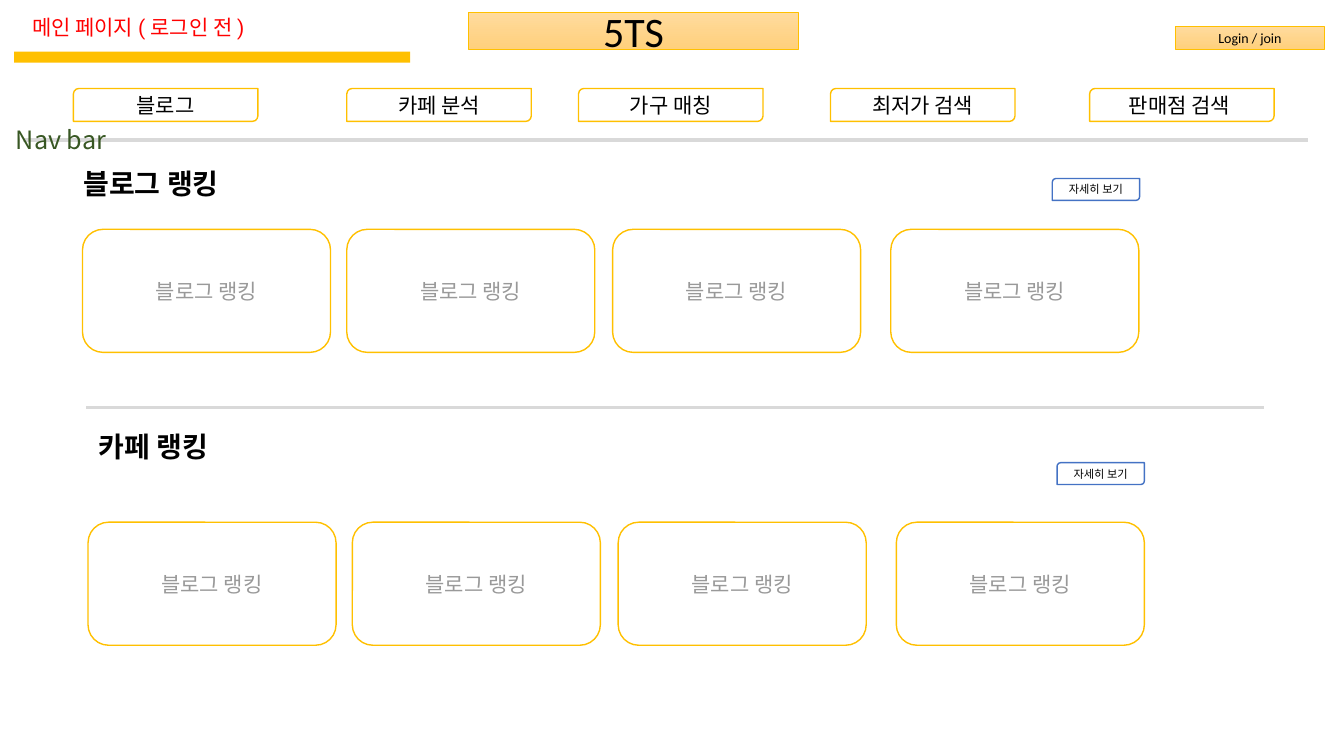
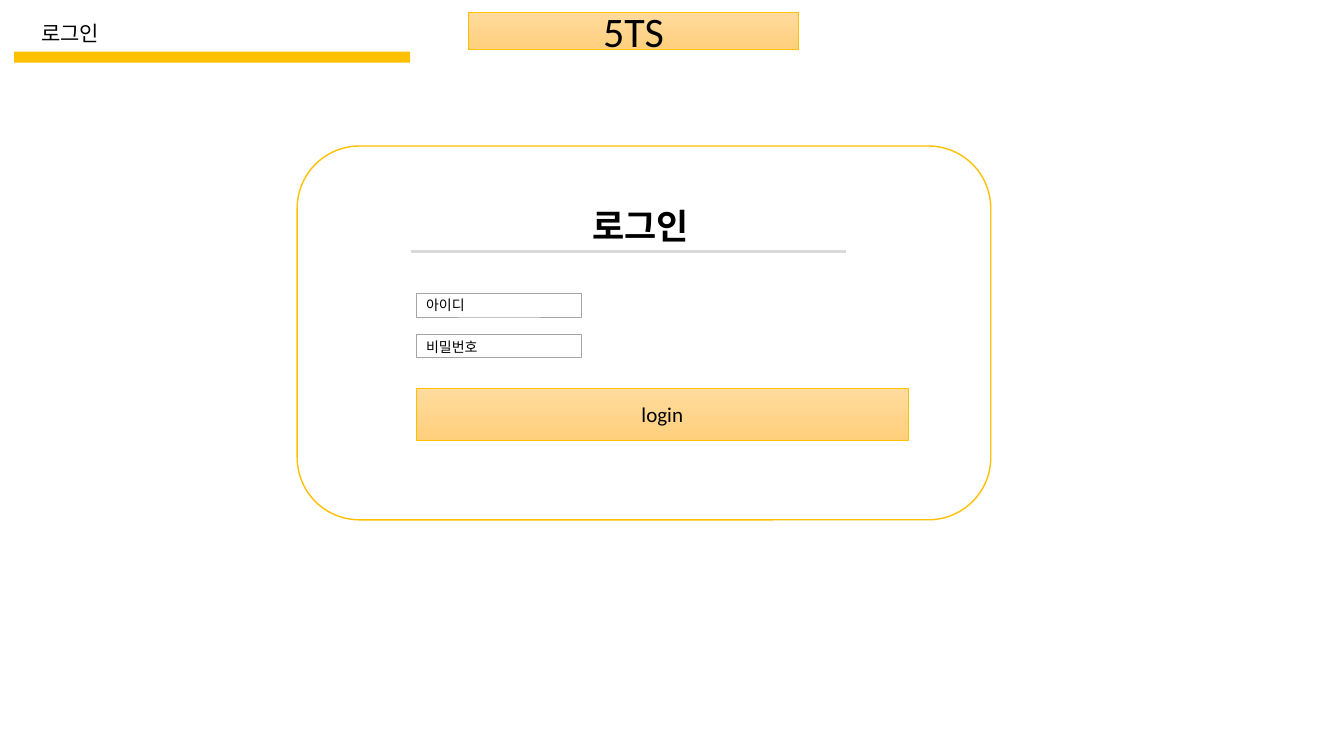
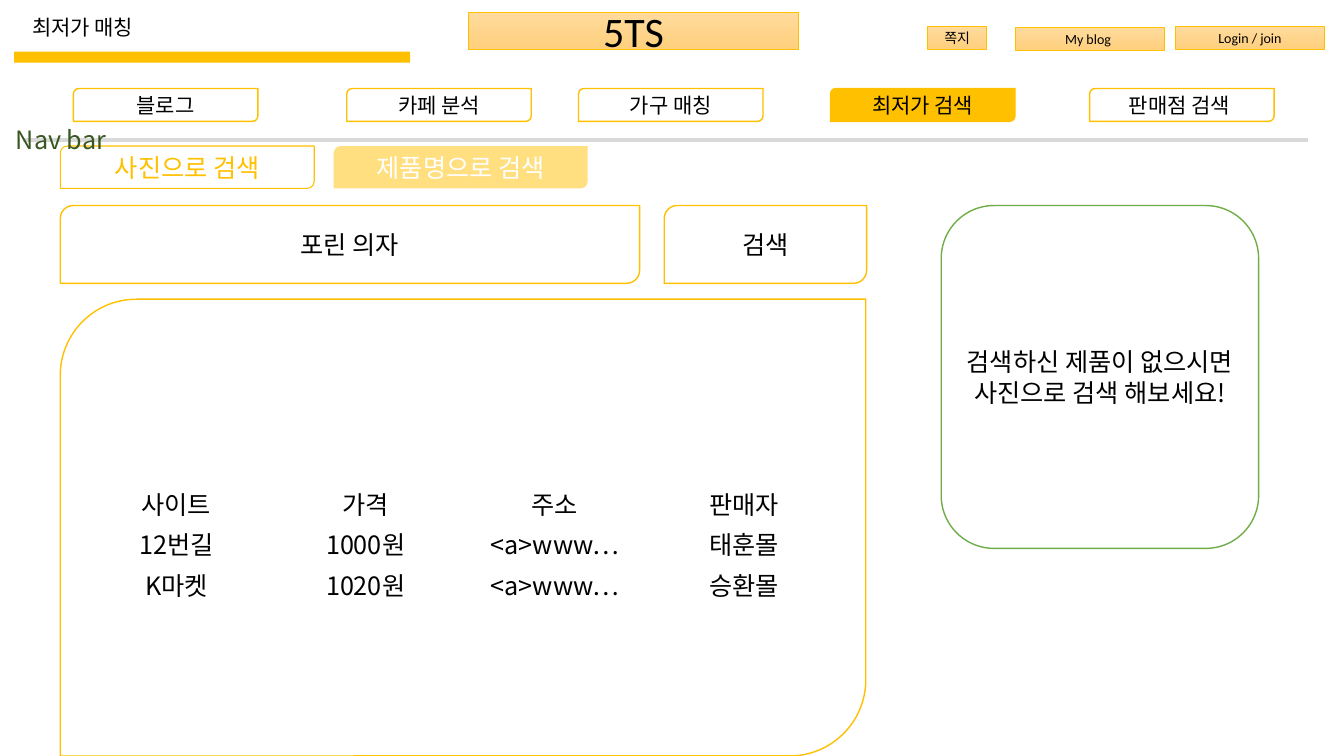
from lxml.etree import SubElement
from pptx import Presentation
from pptx.dml.color import RGBColor
from pptx.enum.shapes import MSO_SHAPE as Shape
from pptx.enum.text import MSO_ANCHOR as Anchor, PP_ALIGN as Align
from pptx.oxml.ns import qn
from pptx.util import Cm, Pt

# Shared style
KOREAN, LATIN, TITLE = "Noto Sans CJK KR", "Calibri", "Roboto"
BLACK, WHITE, RED = "000000", "FFFFFF", "FF0000"
AMBER, BLUE, GREEN, DARK_GREEN = "FFC000", "4472C4", "70AD47", "385723"
RULE_GREY, FIELD_GREY, CARD_GREY = "D9D9D9", "A5A5A5", "999999"
BUTTON_GRADIENT = ("FFDB9E", "FFD07C")

# Content: positions are left, top, width, height in centimetres
BRAND = "5TS"
NAV_TABS = [("블로그", 1.85), ("카페 분석", 8.74), ("가구 매칭", 14.58),
            ("최저가 검색", 20.93), ("판매점 검색 ", 27.46)]
LOGIN_BUTTON = ("Login / join", (29.62, 0.66, 3.76, 0.58))
MEMBER_BUTTONS = [LOGIN_BUTTON,
                  ("My blog ", (25.58, 0.69, 3.76, 0.58)),
                  ("쪽지", (23.37, 0.66, 1.5, 0.58))]

# Heading, its place, "more" button place, first card offset, card top
RANKINGS = [("블로그 랭킹", (1.85, 4.06), (26.52, 4.5), 0, 5.78),
            ("카페 랭킹", (2.24, 10.69), (26.64, 11.66), 0.14, 13.16)]
CARD_TEXT, CARD_LEFTS = "블로그 랭킹", (2.08, 8.74, 15.44, 22.45)
MORE_TEXT = "자세히 보기"

LOGIN_FIELDS = [("아이디", 7.39, 7.34), ("비밀번호", 8.41, 8.41)]

SEARCH_BOXES = [("포린 의자", (1.52, 5.18, 14.6, 1.96)),
                ("검색", (16.74, 5.18, 5.1, 1.96)),
                ("", (1.52, 7.54, 20.3, 11.51))]
HINT = "검색하신 제품이 없으시면 사진으로 검색 해보세요!"
OFFERS = [("사이트", "가격", "주소", "판매자"),
          ("12번길", "1000원", "<a>www…", "태훈몰"),
          ("K마켓", "1020원", "<a>www…", "승환몰")]


def rgb(value):
    return RGBColor.from_string(value)


def write(frame, text, size, font=KOREAN, color=BLACK, bold=False,
          align=Align.CENTER, anchor=Anchor.MIDDLE):
    frame.vertical_anchor = anchor
    paragraph = frame.paragraphs[0]
    paragraph.text = text
    paragraph.alignment = align
    style = paragraph.font
    style.size, style.name, style.bold = Pt(size), font, bold
    style.color.rgb = rgb(color)
    properties = paragraph._p.pPr.find(qn("a:defRPr"))
    SubElement(properties, qn("a:ea")).set("typeface", KOREAN)
    return paragraph


def add_box(slide, kind, place, fill=WHITE, line=None, width=1, text="",
            size=15, **style):
    """Add a preset shape; a pair of fill colours makes a vertical gradient."""
    shape = slide.shapes.add_shape(kind, *map(Cm, place))
    shape.shadow.inherit = False
    if fill is None:
        shape.fill.background()
    elif isinstance(fill, tuple):
        shape.fill.gradient()
        shape.fill.gradient_angle = 270
        for stop, color in zip(shape.fill.gradient_stops, fill):
            stop.color.rgb = rgb(color)
    else:
        shape.fill.solid()
        shape.fill.fore_color.rgb = rgb(fill)
    if line:
        shape.line.color.rgb = rgb(line)
        shape.line.width = Pt(width)
    else:
        shape.line.fill.background()
    if text:
        shape.text_frame.word_wrap = True
        write(shape.text_frame, text, size, **style)
    return shape


def add_label(slide, place, text, size, wrap=True, anchor=Anchor.TOP, **style):
    frame = slide.shapes.add_textbox(*map(Cm, place)).text_frame
    frame.word_wrap = wrap
    return write(frame, text, size, align=Align.LEFT, anchor=anchor, **style)


def add_rule(slide, place):
    add_box(slide, Shape.RECTANGLE, place, RULE_GREY, WHITE, 1.5)


def add_button(slide, text, place, size=10):
    add_box(slide, Shape.RECTANGLE, place, BUTTON_GRADIENT, AMBER, 0.5,
            text, size, font=LATIN)


def add_header(slide, title, place=(0.56, 0.2, 7.49, 1.04), color=BLACK):
    add_box(slide, Shape.RECTANGLE, (0.36, 1.3, 9.98, 0.28), AMBER)
    paragraph = add_label(slide, place, title, 15, anchor=Anchor.MIDDLE,
                          font=TITLE, color=color)
    paragraph.line_spacing = 0.9
    add_button(slide, BRAND, (11.81, 0.3, 8.31, 0.94), 30)


def add_navigation(slide, buttons, current=None):
    for text, place in buttons:
        add_button(slide, text, place)
    for text, left in NAV_TABS:
        add_box(slide, Shape.ROUND_2_DIAG_RECTANGLE, (left, 2.23, 4.65, 0.83),
                AMBER if text == current else WHITE, AMBER, text=text)
    add_rule(slide, (0.56, 3.45, 32.44, 0.15))
    add_label(slide, (0.15, 3.02, 2.82, 1.02), "Nav bar", 18, wrap=False,
              color=DARK_GREEN)


def build_main_page(slide):
    add_header(slide, "메인 페이지 ( 로그인 전 )", color=RED)
    add_navigation(slide, [LOGIN_BUTTON])
    add_rule(slide, (2.13, 10.21, 29.74, 0.13))
    for heading, heading_at, more_at, offset, card_top in RANKINGS:
        add_label(slide, (*heading_at, 4.39, 1.12), heading, 20, bold=True)
        add_box(slide, Shape.ROUND_2_DIAG_RECTANGLE, (*more_at, 2.2, 0.55),
                line=BLUE, text=MORE_TEXT, size=8)
        for left in CARD_LEFTS:
            add_box(slide, Shape.ROUNDED_RECTANGLE,
                    (left + offset, card_top, 6.25, 3.1),
                    line=AMBER, text=CARD_TEXT, color=CARD_GREY)


def build_login_page(slide):
    add_header(slide, "로그인", (0.79, 0.2, 3.89, 1.37))
    add_label(slide, (14.68, 5.03, 3.1, 1.32), "로그인", 25, bold=True)
    add_rule(slide, (10.34, 6.27, 11.02, 0.13))
    for text, field_top, label_top in LOGIN_FIELDS:
        add_box(slide, Shape.RECTANGLE, (10.49, field_top, 4.17, 0.6),
                line=FIELD_GREY, width=0.25)
        add_label(slide, (10.49, label_top, 3.1, 0.69), text, 10)
    add_button(slide, "login", (10.49, 9.78, 12.4, 1.32), 15)
    add_box(slide, Shape.ROUNDED_RECTANGLE, (7.49, 3.68, 17.48, 9.42),
            None, AMBER)


def build_search_page(slide):
    # Search area
    add_box(slide, Shape.ROUNDED_RECTANGLE, (23.72, 5.18, 8, 8.64),
            line=GREEN, text=HINT, size=18)
    add_box(slide, Shape.ROUND_2_DIAG_RECTANGLE, (1.52, 3.68, 6.4, 1.07),
            None, AMBER, 0.75, "사진으로 검색", 18, color=AMBER)
    active_tab = add_box(slide, Shape.ROUND_2_DIAG_RECTANGLE,
                         (8.41, 3.68, 6.4, 1.07), AMBER,
                         text="제품명으로 검색", size=18, color=WHITE)
    tab_color = active_tab.element.spPr.find(qn("a:solidFill"))[0]
    SubElement(tab_color, qn("a:alpha")).set("val", "50000")
    for text, place in SEARCH_BOXES:
        add_box(slide, Shape.ROUND_2_DIAG_RECTANGLE, place, line=AMBER,
                text=text, size=18)

    # Offers table
    rows, columns = len(OFFERS), len(OFFERS[0])
    table = slide.shapes.add_table(rows, columns, Cm(2.06), Cm(12.09),
                                   Cm(4.77 * columns), Cm(1.03 * rows)).table
    table.first_row = table.horz_banding = False
    for row, offer in enumerate(OFFERS):
        for column, text in enumerate(offer):
            cell = table.cell(row, column)
            cell.fill.background()
            write(cell.text_frame, text, 18)
            cell.vertical_anchor = Anchor.MIDDLE

    add_header(slide, "최저가 매칭")
    add_navigation(slide, MEMBER_BUTTONS, current="최저가 검색")


def main():
    presentation = Presentation()
    presentation.slide_width, presentation.slide_height = Cm(33.87), Cm(19.05)
    for build in (build_main_page, build_login_page, build_search_page):
        build(presentation.slides.add_slide(presentation.slide_layouts[6]))
    presentation.save("out.pptx")


if __name__ == "__main__":
    main()
